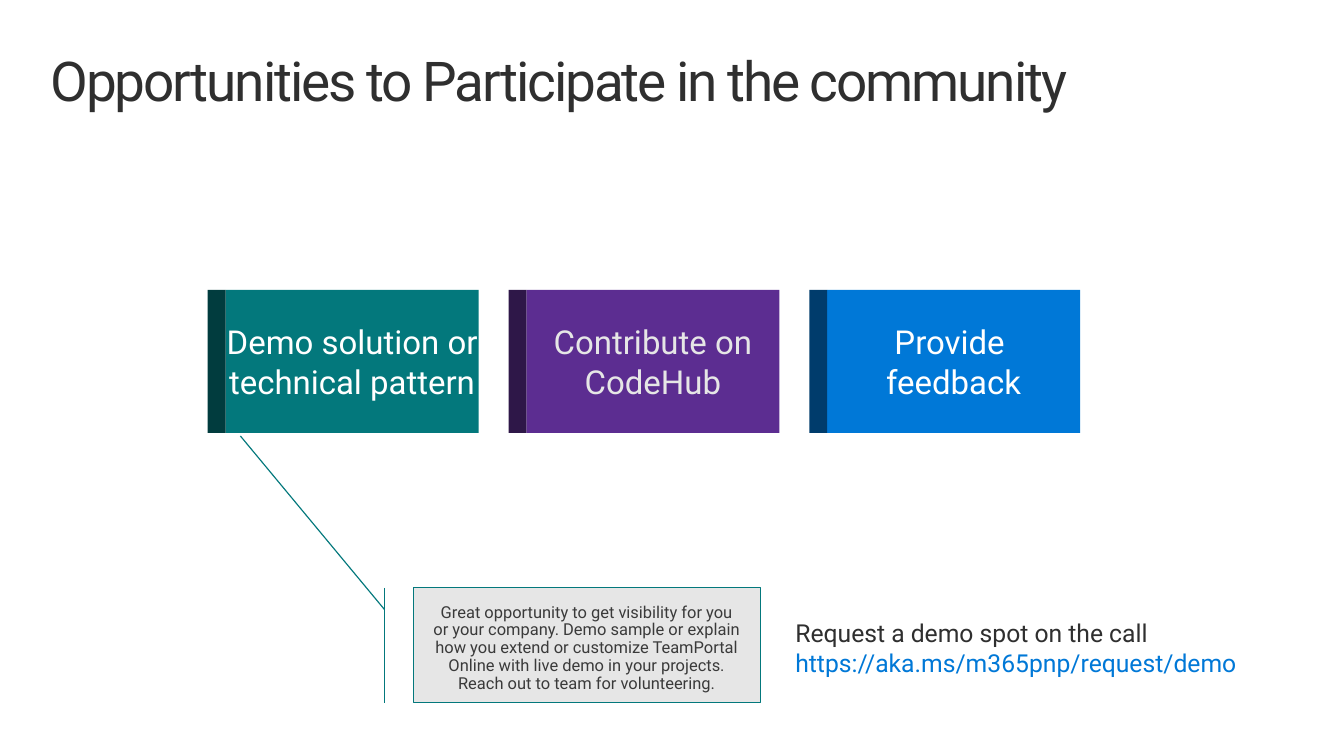
from pptx import Presentation
from pptx.dml.color import RGBColor
from pptx.enum.shapes import MSO_SHAPE
from pptx.enum.text import MSO_ANCHOR, PP_ALIGN
from pptx.util import Cm, Pt


def paint(color_format, color):
    color_format.fill.solid()
    color_format.fill.fore_color.rgb = RGBColor.from_string(color)


def write(shape, text, size, color, margins, align=PP_ALIGN.LEFT, anchor=MSO_ANCHOR.TOP):
    frame = shape.text_frame
    frame.text = text
    frame.word_wrap = True
    frame.vertical_anchor = anchor
    frame.margin_left = frame.margin_right = Cm(margins[0])
    frame.margin_top = frame.margin_bottom = Cm(margins[1])
    for paragraph in frame.paragraphs:
        paragraph.alignment = align
        for run in paragraph.runs:
            run.font.name = "Roboto"
            run.font.size = Pt(size)
            paint(run.font, color)
    return frame.paragraphs


prs = Presentation()
prs.slide_width = Cm(34.54)
prs.slide_height = Cm(19.43)
slide = prs.slides.add_slide(prs.slide_layouts[6])
shapes = slide.shapes

title = shapes.add_textbox(Cm(1.3), Cm(1.75), Cm(32.03), Cm(1.17))
heading = write(title, "Opportunities to Participate in the community", 40, "2F2F2F", (0, 0))[0]
heading.line_spacing = Pt(32)
heading.runs[0].font._element.set("spc", "-150")

opportunities = [
    ("Demo solution or technical pattern", "03787C", "013C3E", "FFFFFF"),
    ("Contribute on CodeHub", "5C2D91", "2E1748", "E6E6E6"),
    ("Provide \vfeedback", "0078D7", "003C6C", "FFFFFF"),
]
tile_top, tile_height = Cm(7.45), Cm(3.68)
stripe_width, tile_width = 0.46, 6.5
for index, (label, tile_color, stripe_color, label_color) in enumerate(opportunities):
    left = 5.34 + index * 7.73
    tile = shapes.add_shape(MSO_SHAPE.RECTANGLE, Cm(left + stripe_width), tile_top,
                            Cm(tile_width), tile_height)
    stripe = shapes.add_shape(MSO_SHAPE.RECTANGLE, Cm(left), tile_top,
                              Cm(stripe_width), tile_height)
    for block, color in ((tile, tile_color), (stripe, stripe_color)):
        block.shadow.inherit = False
        block.line.fill.background()
        paint(block, color)
    write(tile, label, 24, label_color, (0, 0.13), PP_ALIGN.CENTER, MSO_ANCHOR.MIDDLE)

demo_details = shapes.add_shape(MSO_SHAPE.LINE_CALLOUT_1_BORDER_AND_ACCENT_BAR,
                                Cm(10.62), Cm(15.11), Cm(8.92), Cm(2.95))
for index, value in enumerate((0.188, -0.083, -1.324, -0.498)):
    demo_details.adjustments[index] = value
demo_details.shadow.inherit = False
paint(demo_details, "E6E6E6")
paint(demo_details.line, "03787C")
demo_details.line.width = Pt(0.85)
details = write(
    demo_details,
    "Great opportunity to get visibility for you or your company. Demo sample or explain "
    "how you extend or customize TeamPortal Online with live demo in your projects. "
    "Reach out to team for volunteering.",
    12, "3A3A3A", (0.51, 0.41), PP_ALIGN.CENTER)[0]
details.line_spacing = 0.9

request = shapes.add_textbox(Cm(20.19), Cm(15.75), Cm(12.29), Cm(1.8))
invitation, address = write(
    request, "Request a demo spot on the call\nhttps://aka.ms/m365pnp/request/demo",
    18, "2F2F2F", (0.25, 0.13))
paint(address.runs[0].font, "0078D7")

prs.save("out.pptx")
